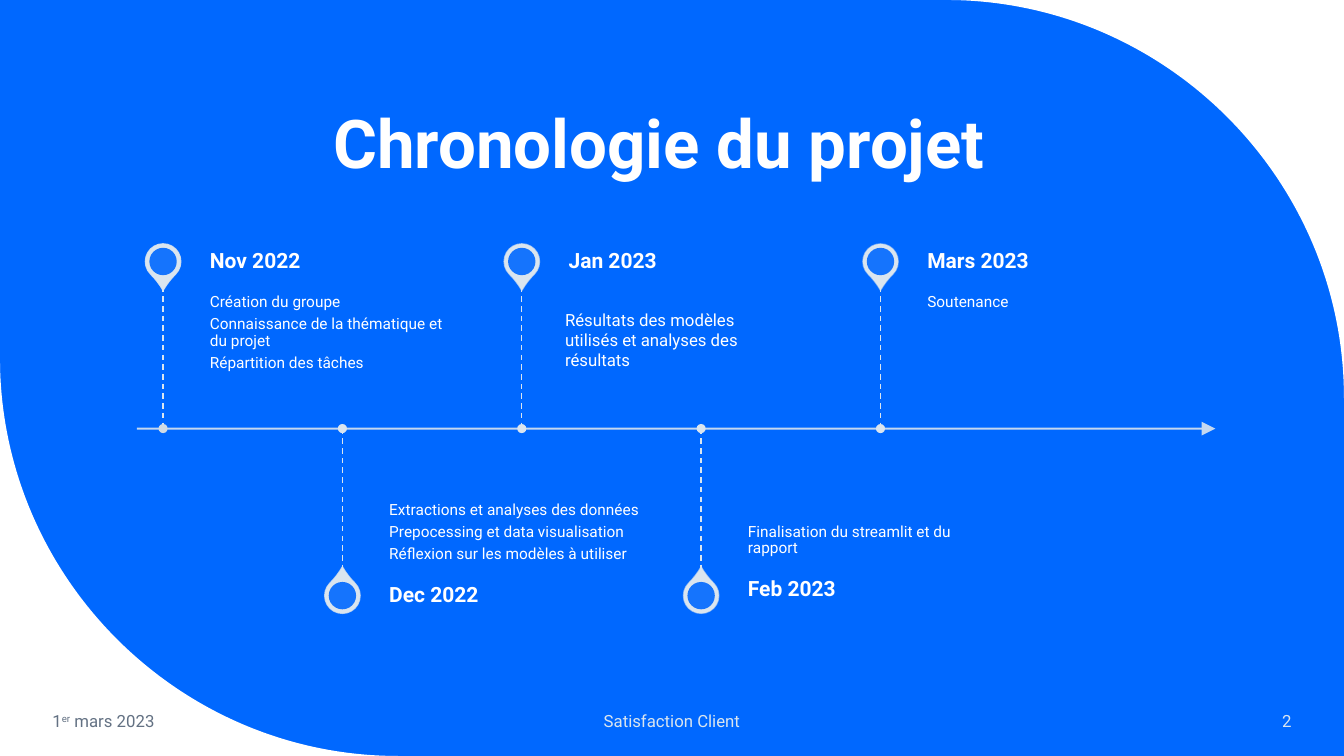
"""Build the project timeline slide with five dated milestones."""
from dataclasses import dataclass

from lxml import etree
from pptx import Presentation, util as u
from pptx.dml.color import RGBColor
from pptx.enum import dml, shapes, text
from pptx.oxml.ns import qn

TITLE = "Chronologie du projet "
MILESTONES = [
    ("Nov 2022", ["Création du groupe",
                  "Connaissance de la thématique et du projet",
                  "Répartition des tâches"]),
    ("Dec 2022", ["Extractions et analyses des données",
                  "Prepocessing et data visualisation",
                  "Réflexion sur les modèles à utiliser"]),
    ("Jan 2023", []),
    ("Feb 2023", ["Finalisation du streamlit et du rapport"]),
    ("Mars 2023", ["Soutenance"]),
]
RESULTS = "Résultats des modèles utilisés et analyses des résultats"
FOOTER = [
    ("1^er^ mars 2023", 1.07, 4.72, "muted", "LEFT"),
    ("Satisfaction Client", 11.22, 11.43, "pale", "CENTER"),
    ("2", 28.2, 4.6, "pale", "RIGHT"),
]


@dataclass(frozen=True)
class Theme:
    font: str = "Roboto"
    blue: str = "0068FF"
    white: str = "FFFFFF"
    pale: str = "DAE5EF"
    first_dot: str = "D0DBE4"
    muted: str = "637183"
    title: float = 48
    date: float = 15
    note: float = 12
    detail: float = 11


THEME = Theme()
WIDTH, HEIGHT, CORNER = 33.87, 19.05, 10.03
CURVE = 0.55
AXIS_Y, AXIS_START, AXIS_END = 10.8, 3.45, 30.63
FIRST_X, STEP = 4.11, 4.52
STEM, PIN_REACH, TEXT_SHIFT = 3.58, 4.21, 1.18
PIN, HOLE, DOT = 0.89, 0.69, 0.23
TEXT_WIDTH, DATE_HEIGHT = 6.44, 1.27
FEB_LIFT = 0.14

deck = Presentation()
deck.slide_width, deck.slide_height = u.Cm(WIDTH), u.Cm(HEIGHT)
slide = deck.slides.add_slide(deck.slide_layouts[6])


def rgb(code):
    return RGBColor.from_string(code)


def set_alpha(fill_owner, percent):
    colour = next(fill_owner.iter(qn("a:srgbClr")))
    etree.SubElement(colour, qn("a:alpha")).set("val", str(percent * 1000))


def space_after(paragraph, percent):
    paragraph.space_after = u.Pt(0)
    gap = next(paragraph._p.iter(qn("a:spcAft")))
    gap.remove(gap[0])
    etree.SubElement(gap, qn("a:spcPct")).set("val", str(percent * 1000))


def write(content, left, top, width, height, *, size, colour=THEME.white, bold=False,
          align="LEFT", anchor="TOP", spacing=None, after=0,
          insets=(0.25, 0.13, 0.25, 0.13), grow=False):
    frame = slide.shapes.add_textbox(*map(u.Cm, (left, top, width, height))).text_frame
    frame.word_wrap = True
    frame.auto_size = (text.MSO_AUTO_SIZE.SHAPE_TO_FIT_TEXT if grow
                       else text.MSO_AUTO_SIZE.NONE)
    frame.vertical_anchor = text.MSO_ANCHOR[anchor]
    (frame.margin_left, frame.margin_top,
     frame.margin_right, frame.margin_bottom) = map(u.Cm, insets)
    lines = [content] if isinstance(content, str) else content
    for row, line in enumerate(lines):
        paragraph = frame.add_paragraph() if row else frame.paragraphs[0]
        paragraph.alignment = text.PP_ALIGN[align]
        paragraph.line_spacing = spacing
        if after:
            space_after(paragraph, after)
        for part, words in enumerate(line.split("^")):
            run = paragraph.add_run()
            run.text = words
            run.font.name, run.font.size, run.font.bold = THEME.font, u.Pt(size), bold
            run.font.color.rgb = rgb(colour)
            if part % 2:
                run._r.get_or_add_rPr().set("baseline", "30000")


def draw_line(x1, y1, x2, y2, weight):
    line = slide.shapes.add_connector(shapes.MSO_CONNECTOR.STRAIGHT,
                                      *map(u.Cm, (x1, y1, x2, y2)))
    line.line.color.rgb, line.line.width = rgb(THEME.pale), u.Pt(weight)
    etree.SubElement(line._element.spPr, qn("a:effectLst"))
    return line


def paint(shape, colour):
    shape.shadow.inherit = False
    shape.fill.solid()
    shape.fill.fore_color.rgb = rgb(colour)
    shape.line.fill.background()
    return shape


def draw_round(kind, x, y, size, colour):
    return paint(slide.shapes.add_shape(shapes.MSO_SHAPE[kind], u.Cm(x - size / 2),
                                        u.Cm(y - size / 2), u.Cm(size), u.Cm(size)), colour)


def draw_corner(x, y, side):
    """Fill outside a quarter circle; side is 1 at top right, -1 at bottom left."""
    builder = slide.shapes.build_freeform(u.Cm(x), u.Cm(y))
    builder.add_line_segments([(u.Cm(x - side * CORNER), u.Cm(y)),
                               (u.Cm(x), u.Cm(y + side * CORNER))], close=True)
    corner = paint(builder.convert_to_shape(), THEME.white)
    tip, start, end = [(int(point.get("x")), int(point.get("y")))
                       for point in corner._element.iter(qn("a:pt"))]
    straight = list(corner._element.iter(qn("a:lnTo")))[1]
    arc = etree.Element(qn("a:cubicBezTo"))
    controls = [[round(a + CURVE * (t - a)) for a, t in zip(anchor, tip)]
                for anchor in (start, end)]
    for px, py in (*controls, end):
        point = etree.SubElement(arc, qn("a:pt"))
        point.set("x", str(px))
        point.set("y", str(py))
    straight.getparent().replace(straight, arc)


def draw_milestone(index, date, details):
    above = index % 2 == 0
    side = -1 if above else 1
    x = FIRST_X + index * STEP
    lift = FEB_LIFT if date == "Feb 2023" else 0
    pin_y = AXIS_Y + side * PIN_REACH

    pin = draw_round("TEAR", x, pin_y, PIN, THEME.pale)
    pin.adjustments[0] = 1.15
    pin.rotation = 135 if above else 315
    pin.line.color.rgb, pin.line.width = rgb(THEME.pale), u.Pt(1)
    set_alpha(pin.line._ln, 90 - 10 * index)
    hole = draw_round("OVAL", x, pin_y, HOLE, THEME.blue)
    set_alpha(hole._element.spPr, 90)

    if details:
        write(details, x + TEXT_SHIFT, AXIS_Y - (STEM if above else lift), TEXT_WIDTH, STEM,
              size=THEME.detail, spacing=0.9, after=35, anchor="TOP" if above else "BOTTOM",
              insets=(0, 0.2, 0.2, 0.28) if above else (0, 0.28, 0, 0.2))
    write(date, x + TEXT_SHIFT, pin_y - DATE_HEIGHT / 2 - lift, TEXT_WIDTH, DATE_HEIGHT,
          size=THEME.date, bold=True, spacing=0.9, after=35, anchor="MIDDLE",
          insets=(0, 0, 0.25, 0))

    start, end = sorted((AXIS_Y, AXIS_Y + side * STEM))
    draw_line(x, start, x, end, 1).line.dash_style = dml.MSO_LINE.DASH
    draw_round("OVAL", x, AXIS_Y, DOT, THEME.pale if index else THEME.first_dot)


def main():
    slide.background.fill.solid()
    slide.background.fill.fore_color.rgb = rgb(THEME.blue)
    draw_corner(WIDTH, 0, 1)
    draw_corner(0, HEIGHT, -1)
    write(TITLE, 3.25, 1.07, 27.15, 3.68, size=THEME.title, bold=True,
          align="CENTER", anchor="BOTTOM", spacing=0.9)
    for words, left, width, colour, align in FOOTER:
        write(words, left, 17.65, width, 1.02, size=THEME.note,
              colour=getattr(THEME, colour), align=align, anchor="MIDDLE")

    axis = draw_line(AXIS_START, AXIS_Y, AXIS_END, AXIS_Y, 1.5)
    set_alpha(axis.line._ln, 90)
    arrowhead = etree.SubElement(axis.line._ln, qn("a:tailEnd"))
    for key, value in (("type", "triangle"), ("w", "lg"), ("len", "lg")):
        arrowhead.set(key, value)
    for index, (date, details) in enumerate(MILESTONES):
        draw_milestone(index, date, details)
    write(RESULTS, 13.99, 7.67, 5.36, 1.8, size=THEME.note, grow=True)
    deck.save("out.pptx")


if __name__ == "__main__":
    main()
